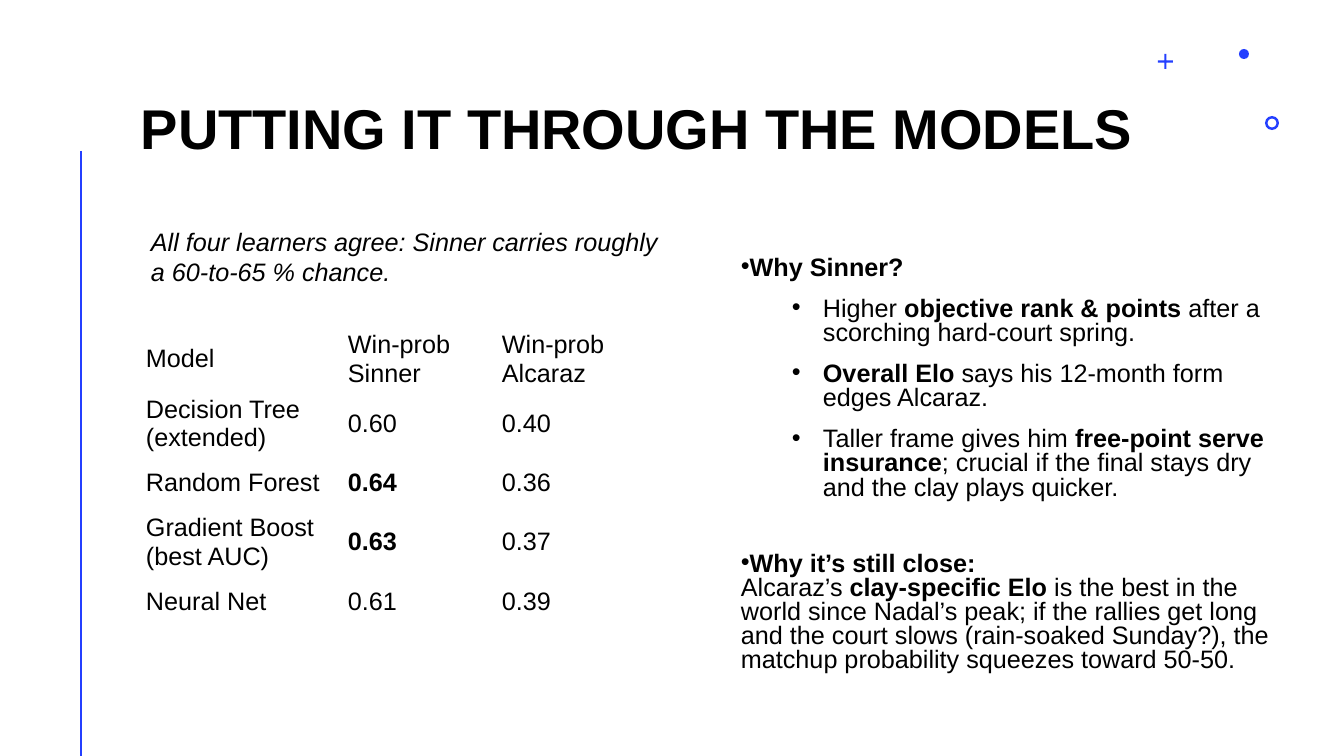
"""Build the slide that compares the match win probabilities of four models."""
from lxml.etree import SubElement
from pptx import Presentation
from pptx.dml.color import RGBColor
from pptx.enum.shapes import MSO_CONNECTOR, MSO_SHAPE as SHAPE
from pptx.enum.text import MSO_ANCHOR as ANCHOR
from pptx.oxml.ns import qn
from pptx.util import Pt

EMU_PER_PX = 914400 / 100.8
BLUE, BLACK = "243FFF", "000000"
FONT = "Arial"

TITLE = "PUTTING IT THROUGH THE MODELS"
CAPTION = "All four learners agree: Sinner carries roughly a 60-to-65 % chance."
COLUMN_WIDTHS = [202, 154, 178]
ROW_HEIGHT = 54
MODEL_ROWS = [
    ("Model", "Win-prob Sinner", "Win-prob Alcaraz"),
    ("Decision Tree (extended)", "0.60", "0.40"),
    ("Random Forest", "*0.64*", "0.36"),
    ("Gradient Boost (best AUC)", "*0.63*", "0.37"),
    ("Neural Net", "0.61", "0.39"),
]
# Asterisks enclose bold words; each entry is text, left margin, indent, space before.
REASONS = [
    ("*Why Sinner?*", 0, 0, 0),
    ("Higher *objective rank & points* after a scorching hard-court spring.", 82, -31, 12),
    ("*Overall Elo* says his 12-month form edges Alcaraz.", 82, -31, 12),
    ("Taller frame gives him *free-point serve insurance*; crucial if the final "
     "stays dry and the clay plays quicker.", 82, -31, 12),
    ("*Why it’s still close:*\nAlcaraz’s *clay-specific Elo* is the best in the world "
     "since Nadal’s peak; if the rallies get long and the court slows (rain-soaked "
     "Sunday?), the matchup probability squeezes toward 50-50.", 0, 0, 37),
]
ORNAMENTS = [
    (SHAPE.CROSS, 1158, 54, 15, 0.43),
    (SHAPE.DONUT, 1265, 116, 14, 0.18),
    (SHAPE.OVAL, 1239, 49, 10, None),
]


def px(length):
    return round(length * EMU_PER_PX)


def color(value):
    return RGBColor.from_string(value)


def style(paragraph, size=18, bold=None, italic=None):
    font = paragraph.font
    font.name, font.size, font.bold, font.italic = FONT, Pt(size), bold, italic
    font.color.rgb = color(BLACK)


def write_marked(paragraph, text):
    for index, part in enumerate(text.split("*")):
        if part.startswith("\n"):
            paragraph.add_line_break()
        if part.strip():
            run = paragraph.add_run()
            run.text = part.lstrip("\n")
            if index % 2:
                run.font.bold = True


def add_bullet(paragraph, margin, indent):
    properties = paragraph._p.get_or_add_pPr()
    properties.set("marL", str(px(margin)))
    properties.set("indent", str(px(indent)))
    SubElement(properties, qn("a:buFont")).set("typeface", FONT)
    SubElement(properties, qn("a:buChar")).set("char", "•")


def add_text_frame(slide, left, top, width, height):
    frame = slide.shapes.add_textbox(px(left), px(top), px(width), px(height)).text_frame
    frame.word_wrap = True
    return frame


def clear_margins(frame):
    frame.margin_left = frame.margin_right = frame.margin_top = frame.margin_bottom = 0


def add_decoration(slide):
    rule = slide.shapes.add_connector(
        MSO_CONNECTOR.STRAIGHT, px(81), px(151), px(81), px(756))
    rule.line.color.rgb = color(BLUE)
    rule.line.width = Pt(2)
    SubElement(rule._element.spPr, qn("a:effectLst"))
    for kind, left, top, size, adjustment in ORNAMENTS:
        shape = slide.shapes.add_shape(kind, px(left), px(top), px(size), px(size))
        shape.shadow.inherit = False
        shape.fill.solid()
        shape.fill.fore_color.rgb = color(BLUE)
        shape.line.fill.background()
        if adjustment is not None:
            shape.adjustments[0] = adjustment


def add_title(slide):
    frame = add_text_frame(slide, 141, 76, 1007, 141)
    clear_margins(frame)
    frame.margin_bottom = Pt(40)
    frame.vertical_anchor = ANCHOR.BOTTOM
    paragraph = frame.paragraphs[0]
    paragraph.text = TITLE
    paragraph.line_spacing = Pt(40)
    style(paragraph, size=40, bold=True)


def add_model_table(slide):
    table = slide.shapes.add_table(
        len(MODEL_ROWS), len(COLUMN_WIDTHS), px(141), px(327),
        px(sum(COLUMN_WIDTHS)), px(ROW_HEIGHT * len(MODEL_ROWS))).table
    table.first_row = table.horz_banding = False
    for column, width in zip(table.columns, COLUMN_WIDTHS):
        column.width = px(width)
    for row, values in zip(table.rows, MODEL_ROWS):
        row.height = px(ROW_HEIGHT)
        for cell, value in zip(row.cells, values):
            cell.fill.background()
            cell.vertical_anchor = ANCHOR.MIDDLE
            cell.margin_left = cell.margin_right = px(5)
            cell.margin_top = cell.margin_bottom = px(2)
            paragraph = cell.text_frame.paragraphs[0]
            write_marked(paragraph, value)
            style(paragraph)


def add_reasons(slide):
    frame = add_text_frame(slide, 741, 257, 534, 446)
    clear_margins(frame)
    for index, (text, margin, indent, space) in enumerate(REASONS):
        paragraph = frame.add_paragraph() if index else frame.paragraphs[0]
        paragraph.line_spacing = 0.8
        paragraph.space_before = Pt(space)
        add_bullet(paragraph, margin, indent)
        write_marked(paragraph, text)
        style(paragraph)


def add_caption(slide):
    paragraph = add_text_frame(slide, 141, 221, 534, 72).paragraphs[0]
    paragraph.text = CAPTION
    style(paragraph, italic=True)


def main():
    presentation = Presentation()
    presentation.slide_width, presentation.slide_height = px(1344), px(756)
    slide = presentation.slides.add_slide(presentation.slide_layouts[6])
    add_decoration(slide)
    add_title(slide)
    add_model_table(slide)
    add_reasons(slide)
    add_caption(slide)
    presentation.save("out.pptx")


if __name__ == "__main__":
    main()
